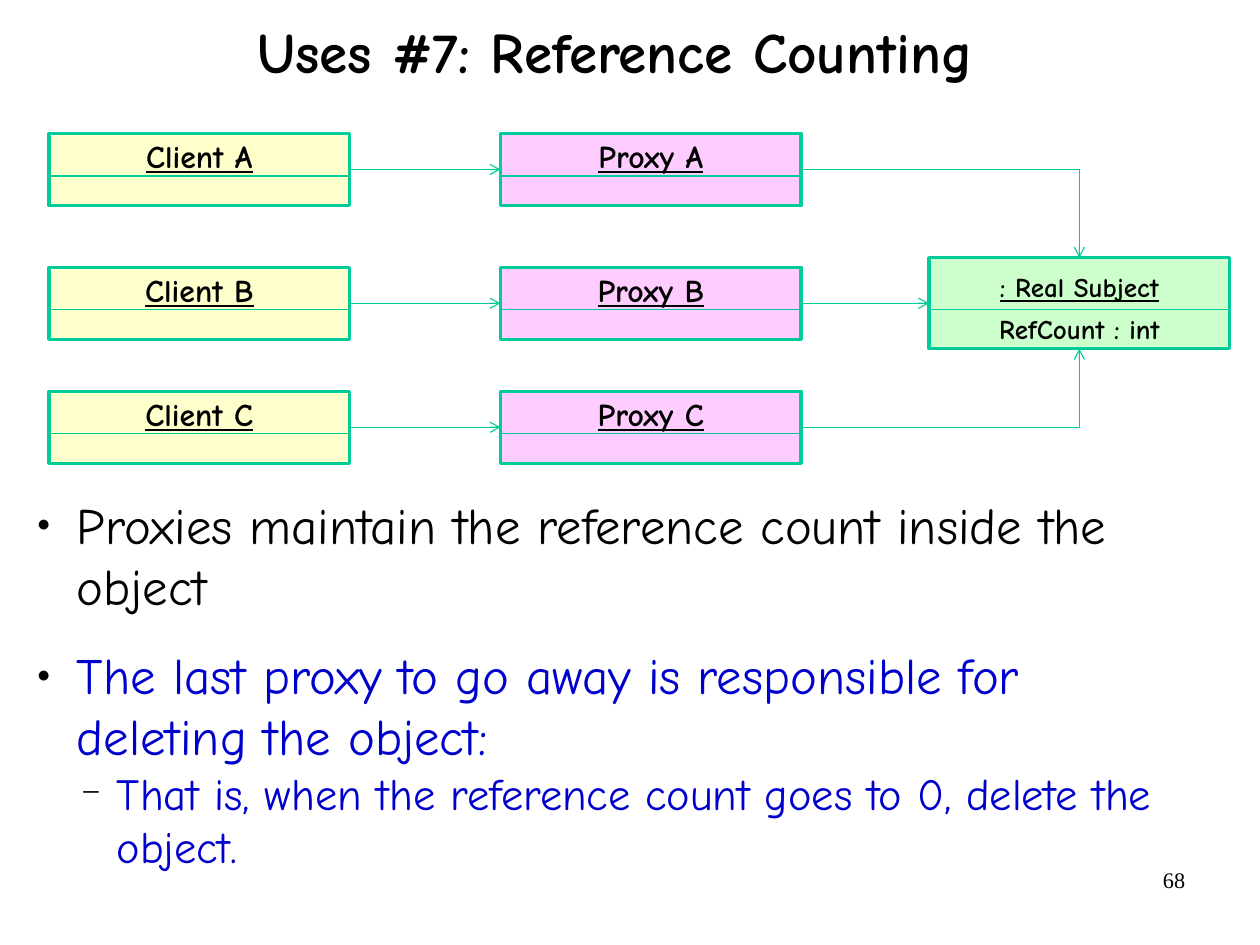
from lxml import etree
from pptx import Presentation
from pptx.dml.color import RGBColor
from pptx.enum import shapes, text
from pptx.oxml import ns
from pptx.util import Pt

FONT, PLAIN_FONT = "Comic Neue", "Times New Roman"
BLACK, BLUE = "000000", "0000CC"
YELLOW, PINK, GREEN = "FFFFCC", "FFCCFF", "CCFFCC"
OUTLINE, LINK = "00CC99", "00CC98"

BOX_WIDTH, BOX_HEIGHT = 189.4, 45.5
CLIENT_LEFT, PROXY_LEFT, SUBJECT_LEFT = 30.9, 315.3, 585.3
ROW_TOPS = {"A": 84, "B": 168.3, "C": 246.4}
SUBJECT_HEIGHT = 57.5
SUBJECT_TOP = ROW_TOPS["B"] + (BOX_HEIGHT - SUBJECT_HEIGHT) / 2
TOP, LEFT, BOTTOM, RIGHT = range(4)


def colour(value):
    return RGBColor.from_string(value)


def add_child(parent, tag, **attributes):
    return etree.SubElement(parent, ns.qn(tag), attributes)


def set_frame(frame, anchor=text.MSO_ANCHOR.TOP, side=0, top=0, bottom=0):
    frame.word_wrap = True
    frame.auto_size = text.MSO_AUTO_SIZE.NONE
    frame.vertical_anchor = anchor
    frame.margin_left = frame.margin_right = Pt(side)
    frame.margin_top, frame.margin_bottom = Pt(top), Pt(bottom)


def place(shape, left, top, width, height):
    shape.left, shape.top = Pt(left), Pt(top)
    shape.width, shape.height = Pt(width), Pt(height)


def add_span(para, words, size, value=BLACK, font=FONT, bold=False, underline=False):
    span = para.add_run()
    span.text = words
    span.font.name, span.font.size = font, Pt(size)
    span.font.bold, span.font.underline = bold, underline
    span.font.color.rgb = colour(value)


def add_line(page, kind, start, end):
    line = page.shapes.add_connector(kind, *(Pt(length) for length in start + end))
    line.line.color.rgb = colour(LINK)
    line.line.width = Pt(0.75)
    add_child(line._element.spPr, "a:effectLst")
    return line


def add_object(page, left, top, height, fill, divider):
    """Outlined box with a line between its name and its attributes."""
    box = page.shapes.add_shape(shapes.MSO_SHAPE.RECTANGLE, Pt(left), Pt(top),
                                Pt(BOX_WIDTH), Pt(height))
    box.shadow.inherit = False
    box.fill.solid()
    box.fill.fore_color.rgb = colour(fill)
    box.line.color.rgb = colour(OUTLINE)
    box.line.width = Pt(2)
    add_line(page, shapes.MSO_CONNECTOR.STRAIGHT,
             (left, top + divider), (left + BOX_WIDTH, top + divider))
    return box


def add_named_box(page, left, top, fill, name):
    box = add_object(page, left, top, BOX_HEIGHT, fill, 26.9)
    set_frame(box.text_frame, top=2)
    para = box.text_frame.paragraphs[0]
    para.alignment = text.PP_ALIGN.CENTER
    add_span(para, name, 20, bold=True, underline=True)
    return box


def add_subject(page):
    box = add_object(page, SUBJECT_LEFT, SUBJECT_TOP, SUBJECT_HEIGHT, GREEN, 32.8)
    frame = box.text_frame
    set_frame(frame, text.MSO_ANCHOR.MIDDLE)
    for para, words, underline in (
            (frame.paragraphs[0], ": Real Subject", True),
            (frame.add_paragraph(), "RefCount : int", False)):
        para.alignment = text.PP_ALIGN.CENTER
        para.line_spacing = 1.3
        add_span(para, words, 17, bold=True, underline=underline)
    return box


def add_arrow(page, source, target, side):
    straight = side == LEFT
    kind = shapes.MSO_CONNECTOR.STRAIGHT if straight else shapes.MSO_CONNECTOR.ELBOW
    arrow = add_line(page, kind, (0, 0), (0, 0))
    arrow.begin_connect(source, RIGHT)
    arrow.end_connect(target, side)
    if not straight:
        # One bend only: across, then up or down
        arrow._element.spPr.find(ns.qn("a:prstGeom")).set("prst", "bentConnector2")
    add_child(arrow.line._get_or_add_ln(), "a:tailEnd", type="arrow")


def add_bullet(para, symbol, percent, margin, hanging):
    properties = para._p.get_or_add_pPr()
    properties.set("marL", str(Pt(margin)))
    properties.set("indent", str(-Pt(hanging)))
    add_child(add_child(properties, "a:buClr"), "a:srgbClr", val=BLACK)
    add_child(properties, "a:buSzPct", val=str(percent * 1000))
    add_child(properties, "a:buFont", typeface=PLAIN_FONT)
    add_child(properties, "a:buChar", char=symbol)


def add_title(page, words):
    title = page.shapes.title
    place(title, 0, 0, 774.7, 69.8)
    set_frame(title.text_frame, text.MSO_ANCHOR.MIDDLE)
    para = title.text_frame.paragraphs[0]
    para.alignment = text.PP_ALIGN.CENTER
    para.line_spacing = 0.88
    add_span(para, words, 36, bold=True)


def add_points(page):
    main_bullet, sub_bullet = ("●", 45, 33.4, 25.2), ("−", 75, 58.6, 22.3)
    points = (
        ("Proxies maintain the reference count inside the object",
         32, BLACK, 18, 0, main_bullet),
        ("The last proxy to go away is responsible for deleting the object:",
         32, BLUE, 0, 0, main_bullet),
        ("That is, when the reference count goes to 0, delete the object.",
         28, BLUE, 12, 1, sub_bullet),
    )
    box = page.shapes.add_textbox(Pt(15.1), Pt(310.8), Pt(743.8), Pt(242))
    frame = box.text_frame
    set_frame(frame)
    for index, (words, size, value, after, level, bullet) in enumerate(points):
        para = frame.add_paragraph() if index else frame.paragraphs[0]
        add_bullet(para, *bullet)
        para.level = level
        para.line_spacing = 1.0
        para.space_after = Pt(after)
        add_span(para, words, size, value)


def add_page_number(page, number):
    box = page.shapes.add_textbox(Pt(568.8), Pt(542), Pt(185), Pt(41))
    set_frame(box.text_frame, side=7.2, top=3.6, bottom=3.6)
    para = box.text_frame.paragraphs[0]
    para.alignment = text.PP_ALIGN.RIGHT
    add_span(para, number, 14, font=PLAIN_FONT)


def main():
    deck = Presentation()
    deck.slide_width, deck.slide_height = Pt(793.75), Pt(595.25)
    page = deck.slides.add_slide(deck.slide_layouts[5])
    add_title(page, "Uses #7: Reference Counting")

    # Each client reaches the shared subject through its own proxy
    subject = add_subject(page)
    subject_sides = {"A": TOP, "B": LEFT, "C": BOTTOM}
    for letter, top in ROW_TOPS.items():
        client = add_named_box(page, CLIENT_LEFT, top, YELLOW, f"Client {letter}")
        proxy = add_named_box(page, PROXY_LEFT, top, PINK, f"Proxy {letter}")
        add_arrow(page, client, proxy, LEFT)
        add_arrow(page, proxy, subject, subject_sides[letter])

    # Explanation and page number
    add_points(page)
    add_page_number(page, "68")
    deck.save("out.pptx")


if __name__ == "__main__":
    main()
